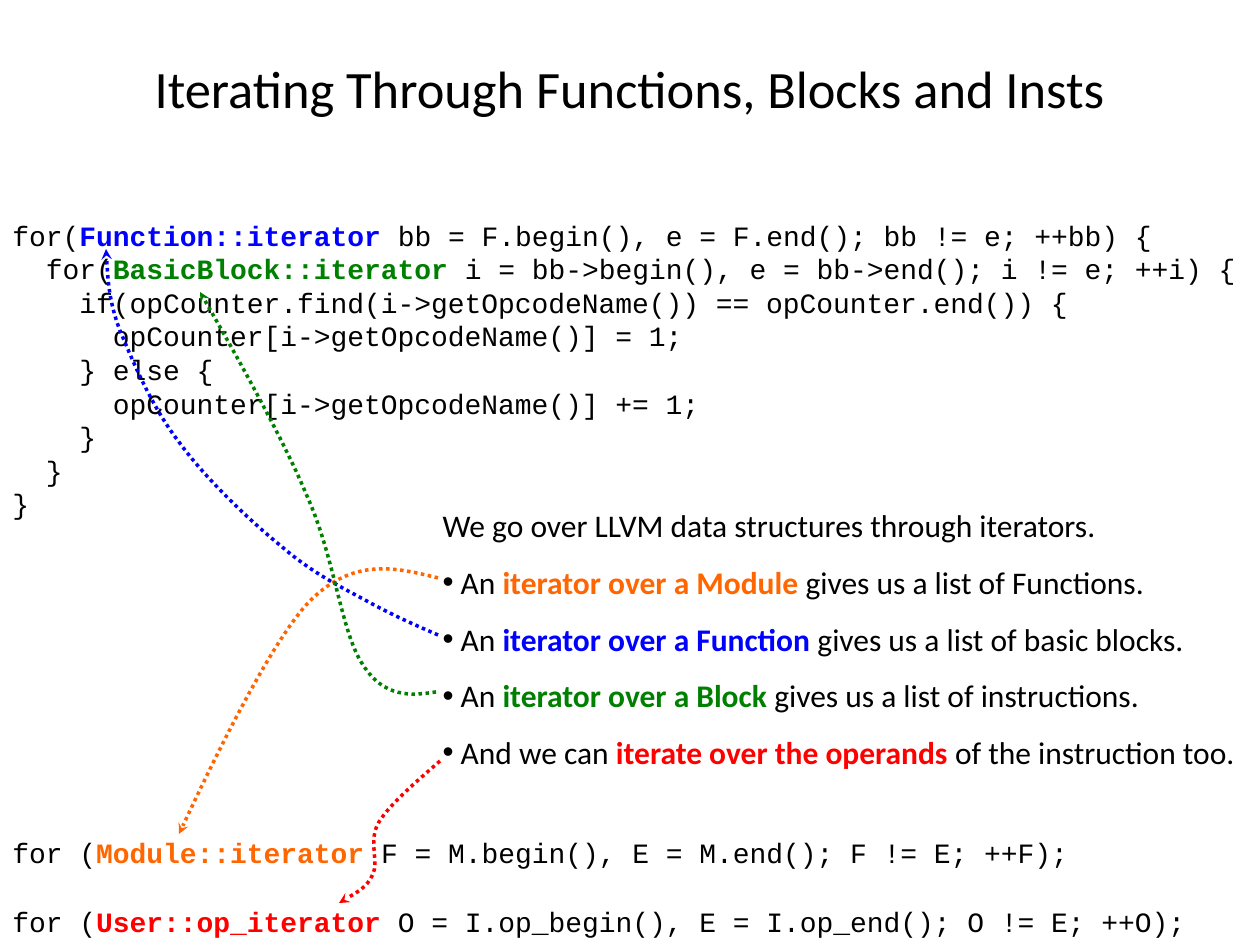
"""Builds a slide on iterating through functions, blocks and instructions."""
from pptx import Presentation
from pptx.dml.color import RGBColor
from pptx.enum.dml import MSO_LINE
from pptx.enum.text import MSO_ANCHOR, MSO_AUTO_SIZE, PP_ALIGN
from pptx.oxml.ns import qn
from pptx.util import Emu, Pt
from lxml.etree import SubElement

SCALE = 914400 / 126
BLACK, ORANGE, BLUE, GREEN, RED = "000000", "FF6600", "0000FF", "008000", "FF0000"

TITLE = "Iterating Through Functions, Blocks and Insts"

NESTED_LOOPS = [
    [("for(", BLACK), ("Function::iterator", BLUE),
     (" bb = F.begin(), e = F.end(); bb != e; ++bb) {", BLACK)],
    [("  for(", BLACK), ("BasicBlock::iterator ", GREEN),
     ("i = bb->begin(), e = bb->end(); i != e; ++i) {", BLACK)],
    [("    if(opCounter.find(i->getOpcodeName()) == opCounter.end()) {", BLACK)],
    [("      opCounter[i->getOpcodeName()] = 1;", BLACK)],
    [("    } else {", BLACK)],
    [("      opCounter[i->getOpcodeName()] += 1;", BLACK)],
    [("    }", BLACK)],
    [("  }", BLACK)],
    [("}", BLACK)],
]
OPERAND_LOOP = [[("for (", BLACK), ("User::op_iterator", RED),
                 (" O = I.op_begin(), E = I.op_end(); O != E; ++O);", BLACK)]]
MODULE_LOOP = [[("for (", BLACK), ("Module::iterator", ORANGE),
                (" F = M.begin(), E = M.end(); F != E; ++F);", BLACK)]]
CODE_BOXES = [
    ((0, 212, 1260, 317), NESTED_LOOPS, True),
    ((0, 898, 1260, 47), OPERAND_LOOP, True),
    ((0, 829, 1095, 47), MODULE_LOOP, False),
]

ITERATORS = [
    [("We go over LLVM data structures through iterators.", BLACK)],
    [(" An ", BLACK), ("iterator over a Module", ORANGE),
     (" gives us a list of Functions.", BLACK)],
    [(" An ", BLACK), ("iterator over a Function", BLUE),
     (" gives us a list of basic blocks.", BLACK)],
    [(" An ", BLACK), ("iterator over a Block", GREEN),
     (" gives us a list of instructions.", BLACK)],
    [(" And we can ", BLACK), ("iterate over the operands", RED),
     (" of the instruction too.", BLACK)],
]

ARROWS = [
    (ORANGE, [(438, 578), (397, 568), (355, 557), (311, 600),
              (268, 643), (179, 834), (179, 834)]),
    (BLUE, [(438, 635), (415, 625), (392, 615), (365, 600),
            (339, 586), (311, 572), (281, 546),
            (249, 520), (205, 478), (179, 442),
            (152, 407), (134, 364), (121, 333),
            (108, 301), (106, 249), (106, 249)]),
    (GREEN, [(436, 692), (411, 696), (384, 698), (363, 665),
             (341, 633), (335, 558), (307, 496),
             (281, 433), (200, 292), (200, 292)]),
    (RED, [(440, 761), (416, 782), (391, 803), (379, 822),
           (368, 840), (379, 862), (373, 874),
           (367, 888), (339, 903), (339, 903)]),
]


def px(length):
    return Emu(round(length * SCALE))


def color(value):
    return RGBColor.from_string(value)


def place(shape, bounds):
    shape.left, shape.top, shape.width, shape.height = map(px, bounds)


def add_spans(para, spans, font_name, size):
    for text, shade in spans:
        span = para.add_run()
        span.text = text
        span.font.name = font_name
        span.font.size = Pt(size)
        span.font.bold = shade != BLACK
        span.font.color.rgb = color(shade)


def write_lines(frame, lines, font_name, size):
    for index, spans in enumerate(lines):
        para = frame.add_paragraph() if index else frame.paragraphs[0]
        add_spans(para, spans, font_name, size)


def add_code(slide, bounds, lines, wraps):
    box = slide.shapes.add_textbox(*map(px, bounds))
    box.text_frame.word_wrap = wraps
    box.text_frame.auto_size = MSO_AUTO_SIZE.SHAPE_TO_FIT_TEXT
    write_lines(box.text_frame, lines, "Courier New", 16)


def fill_title(title):
    place(title, (63, 38, 1134, 100))
    title.text_frame.vertical_anchor = MSO_ANCHOR.MIDDLE
    para = title.text_frame.paragraphs[0]
    para.alignment = PP_ALIGN.CENTER
    add_spans(para, [(TITLE, BLACK)], "Calibri", 30)


def fill_body(body):
    place(body, (430, 481, 830, 296))
    body.text_frame.auto_size = MSO_AUTO_SIZE.SHAPE_TO_FIT_TEXT
    write_lines(body.text_frame, ITERATORS, "Calibri", 18)
    for index, para in enumerate(body.text_frame.paragraphs):
        props = para._p.get_or_add_pPr()
        props.set("marL", "0")
        props.set("indent", "0")
        if index:
            SubElement(props, qn("a:buFont")).set("typeface", "Arial")
            SubElement(props, qn("a:buChar")).set("char", "•")
        else:
            SubElement(props, qn("a:buNone"))
        para.line_spacing = 1.5
        para.space_before = Pt(0)


def add_curved_arrow(slide, shade, points):
    builder = slide.shapes.build_freeform(*points[0], scale=SCALE)
    builder.add_line_segments(points[1:], close=False)
    arrow = builder.convert_to_shape()
    arrow.shadow.inherit = False
    arrow.fill.background()
    arrow.line.color.rgb = color(shade)
    arrow.line.width = Pt(2)
    arrow.line.dash_style = MSO_LINE.ROUND_DOT
    SubElement(arrow.line._get_or_add_ln(), qn("a:tailEnd")).set("type", "stealth")

    outline = next(arrow._element.iter(qn("a:path")))
    segments = outline.findall(qn("a:lnTo"))
    for start in range(0, len(segments), 3):
        curve = SubElement(outline, qn("a:cubicBezTo"))
        for segment in segments[start:start + 3]:
            curve.append(segment[0])
            outline.remove(segment)


def main():
    deck = Presentation()
    deck.slide_width, deck.slide_height = px(1260), px(945)
    slide = deck.slides.add_slide(deck.slide_layouts[1])
    fill_title(slide.shapes.title)
    fill_body(slide.placeholders[1])
    for bounds, lines, wraps in CODE_BOXES:
        add_code(slide, bounds, lines, wraps)
    for shade, points in ARROWS:
        add_curved_arrow(slide, shade, points)
    deck.save("out.pptx")


if __name__ == "__main__":
    main()
